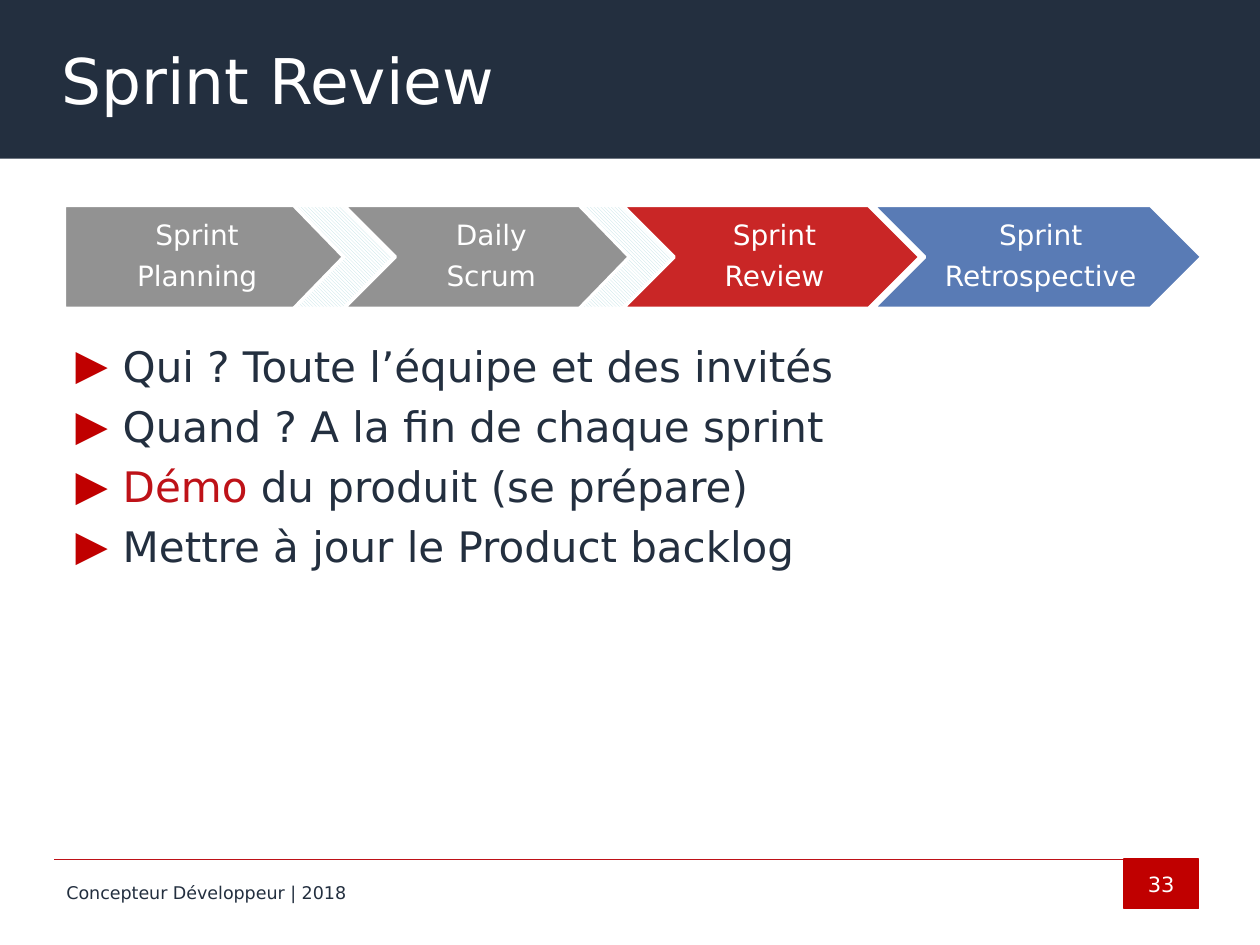
from dataclasses import dataclass
from lxml.etree import SubElement
from pptx import Presentation
from pptx.dml.color import RGBColor
from pptx.enum.dml import MSO_PATTERN
from pptx.enum.shapes import MSO_CONNECTOR, MSO_SHAPE
from pptx.enum.text import MSO_ANCHOR, MSO_AUTO_SIZE, PP_ALIGN
from pptx.oxml.ns import qn
from pptx.util import Cm, Pt


@dataclass(frozen=True)
class Theme:
    font: str = "DejaVu Sans"
    navy: str = "232F3F"
    red: str = "C00000"
    accent: str = "BE1218"
    gray: str = "808080"
    blue: str = "3D64A9"
    hatch: str = "BBE0E3"
    white: str = "FFFFFF"
    title_size: int = 36
    body_size: int = 24
    step_size: int = 16
    page_size: int = 12
    footer_size: int = 10


THEME = Theme()
TITLE = "Sprint Review"
FOOTER = "Concepteur Développeur | 2018"
PAGE = "33"
# Each bullet is a list of (text, colour) runs.
BULLETS = [
    [("Qui ? Toute l’équipe et des invités", THEME.navy)],
    [("Quand ? A la fin de chaque sprint", THEME.navy)],
    [("Démo", THEME.accent), (" du produit (se prépare)", THEME.navy)],
    [("Mettre à jour le Product backlog", THEME.navy)],
]
# Lines of the label, left and width in cm, colour, hatched gap after the step.
STEPS = [
    ("Sprint\nPlanning", 1.3, 5.69, THEME.gray, True),
    ("Daily\nScrum", 6.93, 5.82, THEME.gray, True),
    ("Sprint\nReview", 12.55, 6.0, THEME.red, False),
    ("Sprint\nRetrospective", 17.6, 6.63, THEME.blue, False),
]
STEP_TOP, STEP_HEIGHT = 4.14, 2.08
HATCH_OVERLAP, HATCH_WIDTH = 1.07, 2.02
RULE_LEFT, RULE_RIGHT, RULE_TOP = 1.09, 24.16, 17.32
PAGE_WIDTH, PAGE_HEIGHT = 1.5, 1.0


def color(value):
    return RGBColor.from_string(value)


def place(shape, left, top, width, height):
    shape.left, shape.top = Cm(left), Cm(top)
    shape.width, shape.height = Cm(width), Cm(height)


def style(font, size, value):
    font.name, font.size, font.color.rgb = THEME.font, Pt(size), color(value)


def write(shape, text, size, value, align=PP_ALIGN.LEFT):
    """Fill a shape with vertically centred text."""
    frame = shape.text_frame
    frame.text = text
    frame.word_wrap = True
    frame.auto_size = MSO_AUTO_SIZE.NONE
    frame.vertical_anchor = MSO_ANCHOR.MIDDLE
    for paragraph in frame.paragraphs:
        paragraph.alignment = align
        for run in paragraph.runs:
            style(run.font, size, value)
    return frame


def add_outlined(shapes, kind, left, top, width, height, line, line_width):
    shape = shapes.add_shape(kind, Cm(left), Cm(top), Cm(width), Cm(height))
    shape.shadow.inherit = False
    shape.line.color.rgb = color(line)
    shape.line.width = Pt(line_width)
    return shape


def fill_solid(shape, value, opacity=100):
    shape.fill.solid()
    shape.fill.fore_color.rgb = color(value)
    if opacity < 100:
        rgb = shape.fill._xPr.find(qn("a:solidFill")).find(qn("a:srgbClr"))
        SubElement(rgb, qn("a:alpha"), val=str(opacity * 1000))


def add_title(slide):
    title = slide.shapes.title
    place(title, 0, 0, 25.4, 3.2)
    fill_solid(title, THEME.navy)
    frame = write(title, TITLE, THEME.title_size, THEME.white)
    frame.margin_left = Cm(1.24)


def add_bullets(slide):
    body = slide.placeholders[1]
    place(body, 1.27, 6.73, 22.96, 8.15)
    frame = body.text_frame
    frame.auto_size = MSO_AUTO_SIZE.NONE
    frame.vertical_anchor = MSO_ANCHOR.TOP
    frame.text = "\n".join("".join(text for text, _ in runs) for runs in BULLETS)
    for index, (paragraph, runs) in enumerate(zip(frame.paragraphs, BULLETS)):
        properties = paragraph._p.get_or_add_pPr()
        indent = Cm(0.95)
        properties.set("marL", str(indent))
        properties.set("indent", str(-indent))
        bullet_color = SubElement(properties, qn("a:buClr"))
        SubElement(bullet_color, qn("a:srgbClr"), val=THEME.red)
        SubElement(properties, qn("a:buFont"), typeface=THEME.font)
        SubElement(properties, qn("a:buChar"), char="▶")
        paragraph.space_before = Pt(5.6 if index else 0)
        paragraph.text = ""
        for text, value in runs:
            run = paragraph.add_run()
            run.text = text
            style(run.font, THEME.body_size, value)


def add_steps(slide):
    shapes = slide.shapes.add_group_shape().shapes
    for index, (label, left, width, value, hatched) in enumerate(STEPS):
        kind = MSO_SHAPE.CHEVRON if index else MSO_SHAPE.PENTAGON
        step = add_outlined(shapes, kind, left, STEP_TOP, width, STEP_HEIGHT,
                            THEME.white, 2)
        fill_solid(step, value, 85)
        frame = write(step, label, THEME.step_size, THEME.white, PP_ALIGN.CENTER)
        frame.margin_left = Cm(0.18 if index else 0.23)
        frame.margin_right = Cm(0.05)
        for paragraph in frame.paragraphs:
            paragraph.line_spacing = 0.9
            paragraph.space_after = Pt(6)
        if hatched:
            hatch = add_outlined(shapes, MSO_SHAPE.CHEVRON,
                                 left + width - HATCH_OVERLAP, STEP_TOP,
                                 HATCH_WIDTH, STEP_HEIGHT, THEME.white, 2)
            hatch.fill.patterned()
            hatch.fill.pattern = MSO_PATTERN.LIGHT_DOWNWARD_DIAGONAL
            hatch.fill.fore_color.rgb = color(THEME.hatch)
            hatch.fill.back_color.rgb = color(THEME.white)


def add_footer(slide):
    rule = slide.shapes.add_connector(MSO_CONNECTOR.STRAIGHT, Cm(RULE_LEFT),
                                      Cm(RULE_TOP), Cm(RULE_RIGHT), Cm(RULE_TOP))
    rule.line.color.rgb = color(THEME.accent)
    rule.line.width = Pt(0.75)
    SubElement(rule._element.spPr, qn("a:effectLst"))
    page = add_outlined(slide.shapes, MSO_SHAPE.RECTANGLE, RULE_RIGHT - PAGE_WIDTH,
                        RULE_TOP, PAGE_WIDTH, PAGE_HEIGHT, THEME.red, 0.75)
    fill_solid(page, THEME.red)
    write(page, PAGE, THEME.page_size, THEME.white, PP_ALIGN.CENTER)
    footer = slide.shapes.add_textbox(Cm(RULE_LEFT), Cm(17.5), Cm(19.2), Cm(1))
    write(footer, FOOTER, THEME.footer_size, THEME.navy)


def main():
    presentation = Presentation()
    presentation.slide_width, presentation.slide_height = Cm(25.4), Cm(19.05)
    slide = presentation.slides.add_slide(presentation.slide_layouts[1])
    add_title(slide)
    add_footer(slide)
    add_bullets(slide)
    add_steps(slide)
    presentation.save("out.pptx")


if __name__ == "__main__":
    main()
